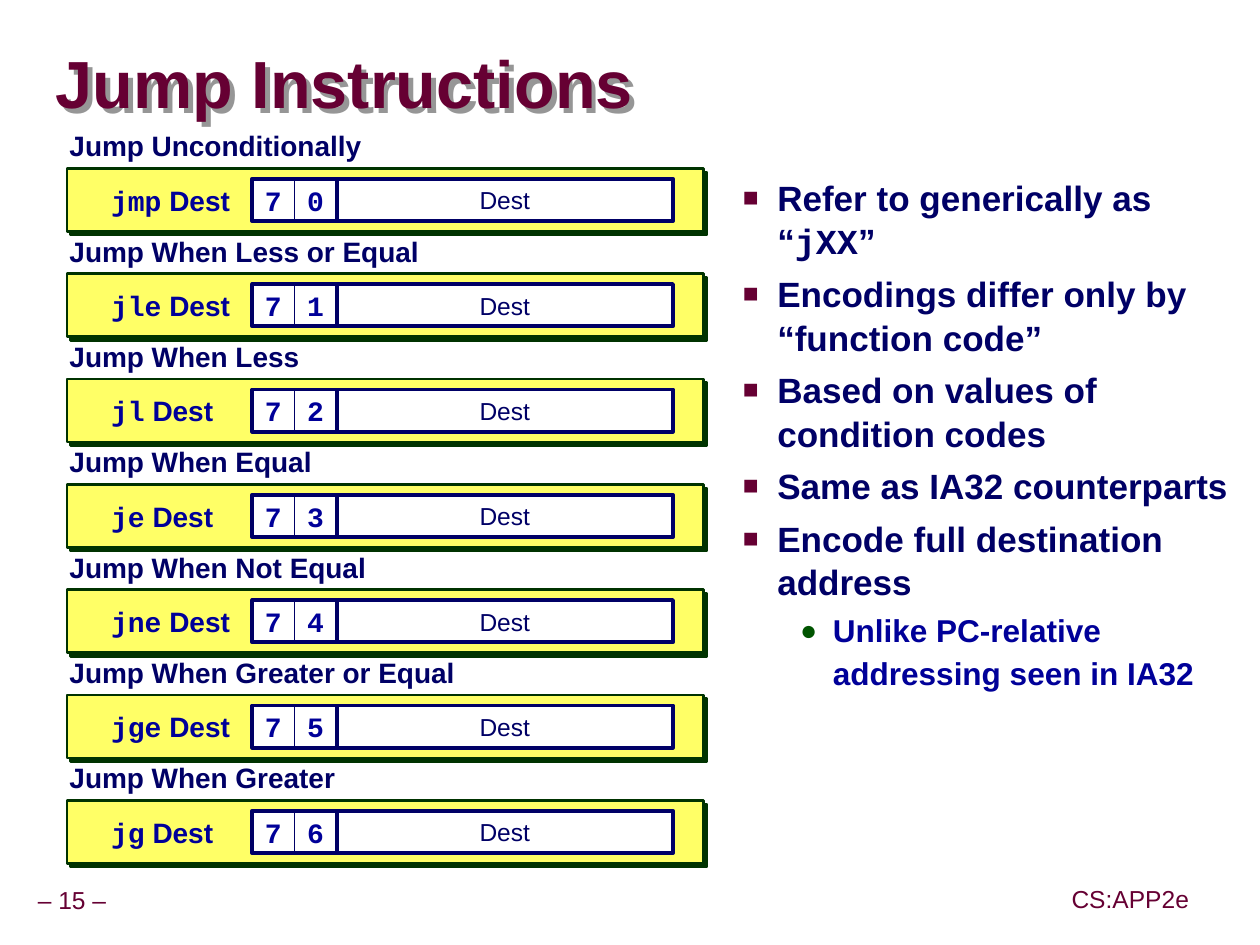
"""Build the Jump Instructions slide with its seven encodings and remarks."""
from dataclasses import dataclass
from typing import Any, Optional

import lxml.etree
import pptx
import pptx.dml.color
import pptx.enum.shapes
import pptx.enum.text
import pptx.oxml
import pptx.oxml.ns
import pptx.util

Cm = pptx.util.Cm
Pt = pptx.util.Pt
Align = pptx.enum.text.PP_ALIGN
Anchor = pptx.enum.text.MSO_ANCHOR

COLORS = {
    "maroon": "660033", "navy": "000066", "blue": "000099", "green": "005400",
    "dark green": "003300", "yellow": "FFFF66", "white": "FFFFFF", "gray": "969696",
}
ROW_TOP, ROW_PITCH = 3.39, 2.12
CODE_LEFT, NIBBLE = 5.08, 0.85


@dataclass(frozen=True)
class Box:
    left: float
    top: float
    width: float
    height: float


@dataclass(frozen=True)
class TextStyle:
    size: float
    color: str
    bold: bool = True
    font: str = "Arial"
    align: Any = Align.LEFT
    anchor: Any = Anchor.MIDDLE
    spacing: float = 1.0
    inset: float = 0.0
    wrap: bool = True


@dataclass(frozen=True)
class Jump:
    caption: str
    mnemonic: str


@dataclass(frozen=True)
class Bullet:
    level: int
    mark: str
    mark_color: str
    mark_percent: int
    margin: float
    hanging: float
    space_before: float
    style: TextStyle


CAPTION = TextStyle(16, "navy", anchor=Anchor.TOP, spacing=0.9, inset=0.13)
MNEMONIC = TextStyle(16, "blue")
DIGIT = TextStyle(16, "blue", font="Courier New", align=Align.CENTER)
DESTINATION = TextStyle(14, "navy", bold=False, align=Align.CENTER)
FOOTER = TextStyle(14, "maroon", bold=False, align=Align.CENTER, spacing=0.9,
                   inset=0.13, wrap=False)
TITLE = TextStyle(38, "maroon", spacing=0.87)
MAIN = Bullet(1, "■", "maroon", 75, 2.06, 0.69, 5, TextStyle(20, "navy", spacing=1.04))
SUB = Bullet(2, "●", "green", 90, 3.18, 0.66, 2, TextStyle(18, "blue", spacing=1.13))

JUMPS = [
    Jump("Jump Unconditionally", "jmp"),
    Jump("Jump When Less or Equal", "jle"),
    Jump("Jump When Less", "jl"),
    Jump("Jump When Equal", "je"),
    Jump("Jump When Not Equal", "jne"),
    Jump("Jump When Greater or Equal", "jge"),
    Jump("Jump When Greater", "jg"),
]
REMARKS = [
    (MAIN, ["Refer to generically as “", "jXX", "”"]),
    (MAIN, ["Encodings differ only by “function code”"]),
    (MAIN, ["Based on values of condition codes"]),
    (MAIN, ["Same as IA32 counterparts"]),
    (MAIN, ["Encode full destination address"]),
    (SUB, ["Unlike PC-relative addressing seen in IA32"]),
]
CODE_WORDS = {"jXX"} | {jump.mnemonic for jump in JUMPS}


def rgb(name: str) -> pptx.dml.color.RGBColor:
    return pptx.dml.color.RGBColor.from_string(COLORS[name])


def lengths(box: Box) -> list[pptx.util.Length]:
    return [Cm(value) for value in (box.left, box.top, box.width, box.height)]


def place(shape: Any, box: Box) -> None:
    shape.left, shape.top, shape.width, shape.height = lengths(box)


def set_frame(frame: Any, style: TextStyle) -> None:
    frame.word_wrap = style.wrap
    frame.auto_size = pptx.enum.text.MSO_AUTO_SIZE.NONE
    frame.vertical_anchor = style.anchor
    frame.margin_left = frame.margin_right = Cm(style.inset)
    frame.margin_top = frame.margin_bottom = Cm(style.inset)


def write(paragraph: Any, parts: list[str], style: TextStyle) -> None:
    paragraph.alignment = style.align
    paragraph.line_spacing = style.spacing
    font = paragraph.font
    font.name, font.size, font.bold = style.font, Pt(style.size), style.bold
    font.color.rgb = rgb(style.color)
    for part in parts:
        run = paragraph.add_run()
        run.text = part
        if part in CODE_WORDS:
            run.font.name = "Courier New"


def add_text(shapes: Any, box: Box, parts: list[str], style: TextStyle) -> None:
    frame = shapes.add_textbox(*lengths(box)).text_frame
    set_frame(frame, style)
    write(frame.paragraphs[0], parts, style)


def add_rectangle(shapes: Any, box: Box, fill: Optional[str], line: str, weight: float,
                  text: str = "", style: TextStyle = DIGIT) -> Any:
    shape = shapes.add_shape(pptx.enum.shapes.MSO_SHAPE.RECTANGLE, *lengths(box))
    shape.shadow.inherit = False
    if fill:
        shape.fill.solid()
        shape.fill.fore_color.rgb = rgb(fill)
    else:
        shape.fill.background()
    shape.line.color.rgb = rgb(line)
    shape.line.width = Pt(weight)
    if text:
        set_frame(shape.text_frame, style)
        write(shape.text_frame.paragraphs[0], [text], style)
    return shape


def add_shadow(shape: Any, color: str, distance: float) -> None:
    shape.shadow.inherit = False
    effects = shape._element.spPr.find(pptx.oxml.ns.qn("a:effectLst"))
    shadow = lxml.etree.SubElement(
        effects, pptx.oxml.ns.qn("a:outerShdw"), dist=str(Cm(distance)),
        dir="2700000", algn="ctr", rotWithShape="0")
    lxml.etree.SubElement(shadow, pptx.oxml.ns.qn("a:srgbClr"), val=COLORS[color])


def add_bullet(paragraph: Any, bullet: Bullet) -> None:
    paragraph.level = bullet.level
    properties = paragraph._p.get_or_add_pPr()
    properties.set("marL", str(Cm(bullet.margin)))
    properties.set("indent", str(-Cm(bullet.hanging)))
    color = lxml.etree.SubElement(properties, pptx.oxml.ns.qn("a:buClr"))
    lxml.etree.SubElement(color, pptx.oxml.ns.qn("a:srgbClr"), val=COLORS[bullet.mark_color])
    for tag, name, value in (("a:buSzPct", "val", str(bullet.mark_percent * 1000)),
                             ("a:buFont", "typeface", "Arial"),
                             ("a:buChar", "char", bullet.mark)):
        lxml.etree.SubElement(properties, pptx.oxml.ns.qn(tag)).set(name, value)


def draw_jump(slide: Any, jump: Jump, code: int) -> None:
    shapes = slide.shapes.add_group_shape().shapes
    top = ROW_TOP + code * ROW_PITCH
    inner = top + 0.21
    dest_left = CODE_LEFT + 2 * NIBBLE
    panel = add_rectangle(shapes, Box(1.35, top, 12.82, 1.27), "yellow", "dark green", 1.5)
    add_shadow(panel, "dark green", 0.1)
    add_text(shapes, Box(2.24, inner, 2.84, NIBBLE), [jump.mnemonic, " Dest"], MNEMONIC)
    for column, digit in enumerate((7, code)):
        add_rectangle(shapes, Box(CODE_LEFT + column * NIBBLE, inner, NIBBLE, NIBBLE),
                      "white", "navy", 0.5, str(digit))
    add_rectangle(shapes, Box(CODE_LEFT, inner, 2 * NIBBLE, NIBBLE), None, "navy", 2.25)
    add_text(shapes, Box(1.27, top - 0.85, 8.4, 0.86), [jump.caption], CAPTION)
    add_rectangle(shapes, Box(dest_left, inner, 6.77, NIBBLE), "white", "navy", 2.25,
                  "Dest", DESTINATION)


def fill_title(title: Any) -> None:
    place(title, Box(1.12, 0.69, 24.18, 2.16))
    set_frame(title.text_frame, TITLE)
    write(title.text_frame.paragraphs[0], ["Jump Instructions"], TITLE)
    add_shadow(title, "gray", 0.14)


def fill_remarks(body: Any) -> None:
    place(body, Box(13.34, 3.38, 12.03, 14.48))
    frame = body.text_frame
    set_frame(frame, TextStyle(20, "navy", anchor=Anchor.TOP, inset=0.13))
    frame.margin_left = frame.margin_right = Cm(0.25)
    for index, (bullet, parts) in enumerate(REMARKS):
        paragraph = frame.add_paragraph() if index else frame.paragraphs[0]
        add_bullet(paragraph, bullet)
        paragraph.space_before = Pt(bullet.space_before if index else 0)
        write(paragraph, parts, bullet.style)


def main() -> None:
    presentation = pptx.Presentation()
    presentation.slide_width, presentation.slide_height = Cm(25.37), Cm(19.02)
    slide = presentation.slides.add_slide(presentation.slide_layouts[1])
    fill_title(slide.shapes.title)
    fill_remarks(slide.placeholders[1])
    for code, jump in enumerate(JUMPS):
        draw_jump(slide, jump, code)
    add_text(slide.shapes, Box(0.61, 17.75, 1.68, 0.79), ["– 15 –"], FOOTER)
    add_text(slide.shapes, Box(21.44, 17.73, 2.64, 0.79), ["CS:APP2e"], FOOTER)
    presentation.save("out.pptx")


if __name__ == "__main__":
    main()
